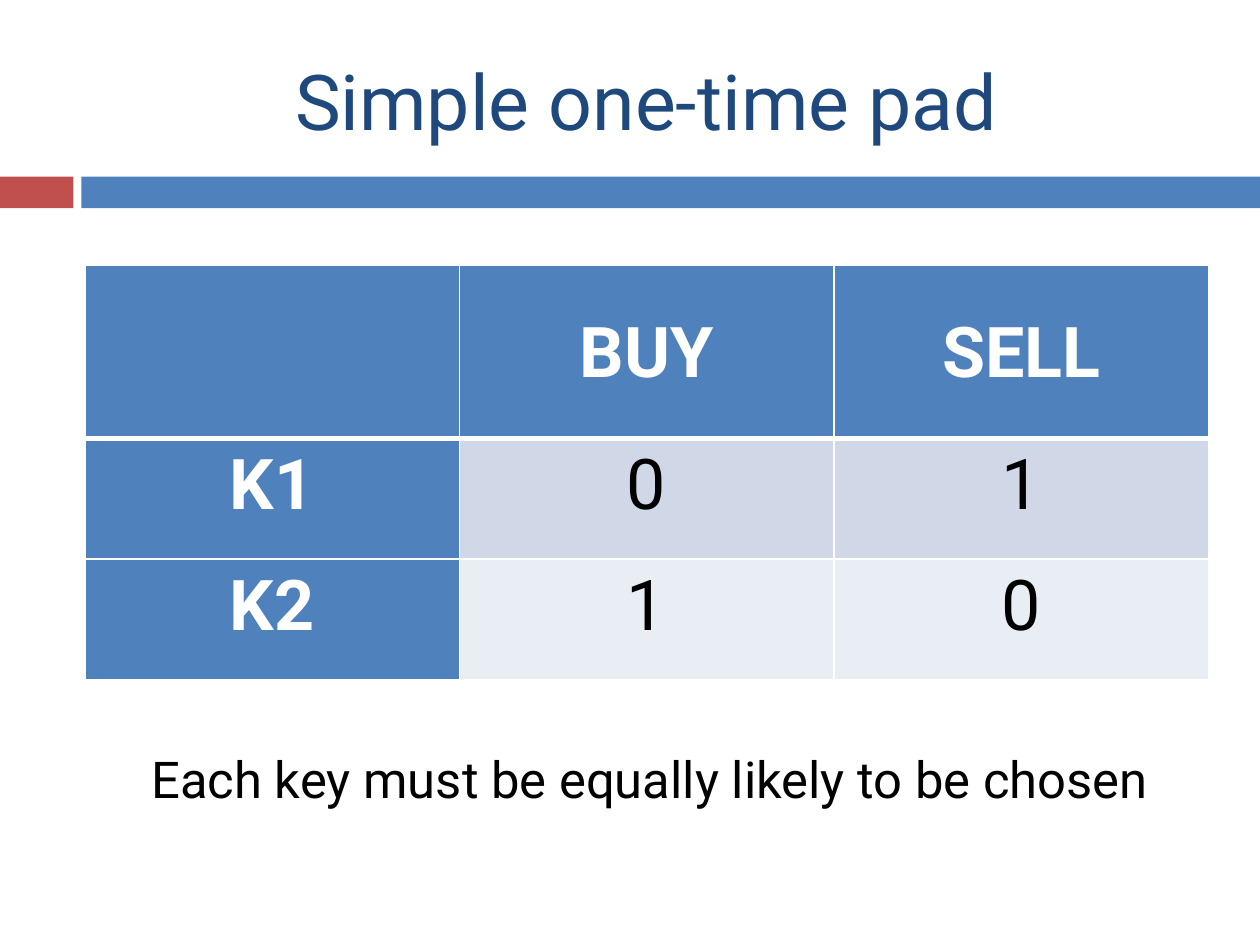
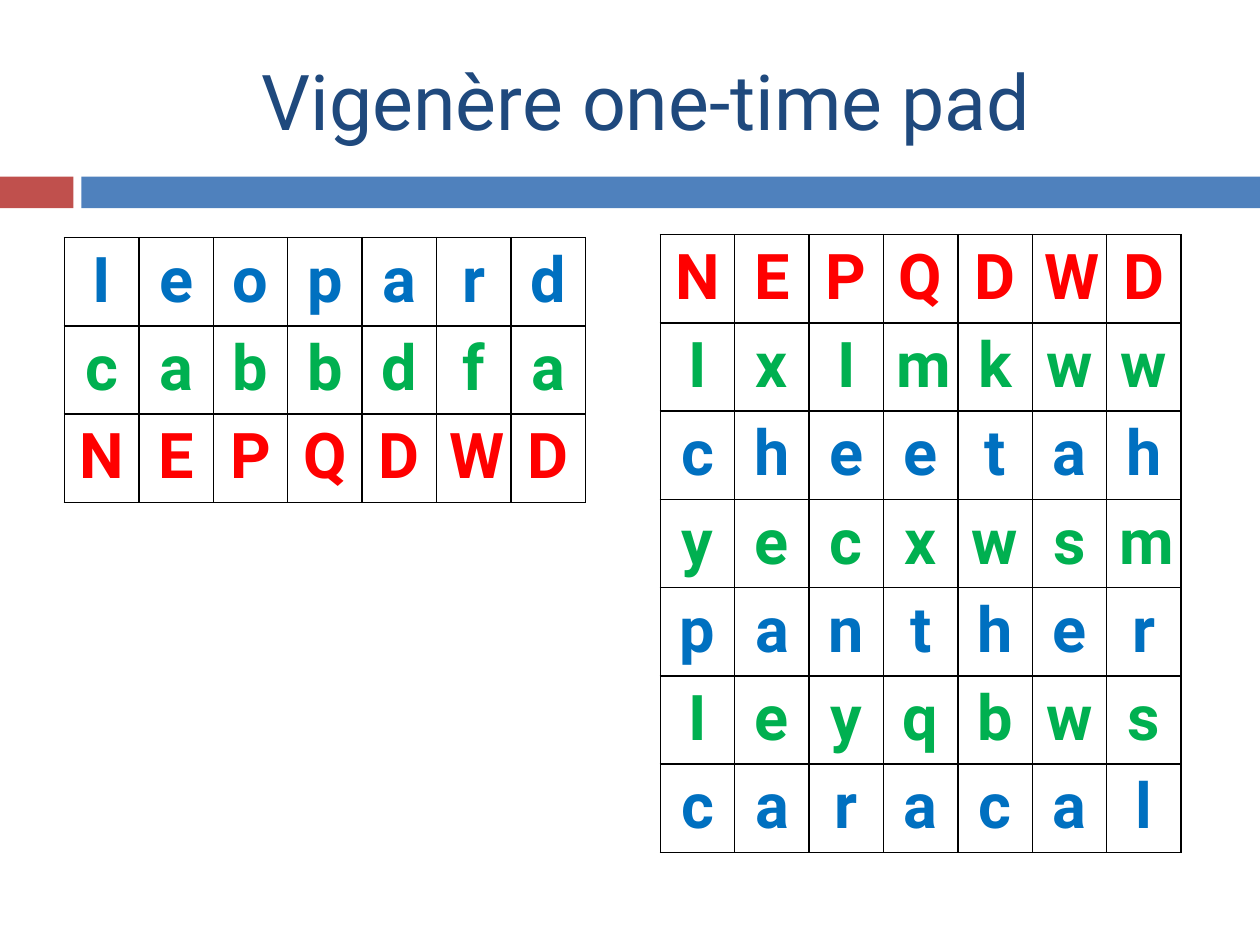
from lxml.etree import SubElement
from pptx import Presentation
from pptx.dml.color import RGBColor
from pptx.enum.shapes import MSO_SHAPE as SHAPE
from pptx.enum.text import MSO_ANCHOR as ANCHOR, PP_ALIGN as ALIGN
from pptx.oxml.ns import qn
from pptx.util import Cm, Pt

FONT = "Roboto"
NAVY = RGBColor(0x1F, 0x49, 0x7D)
BLUE = RGBColor(0x4F, 0x81, 0xBD)
BRICK = RGBColor(0xC0, 0x50, 0x4D)
WHITE = RGBColor(0xFF, 0xFF, 0xFF)
BLACK = RGBColor(0x00, 0x00, 0x00)
BAND_DARK = RGBColor(0xD0, 0xD8, 0xE8)
BAND_LIGHT = RGBColor(0xE9, 0xED, 0xF4)
PLAIN = RGBColor(0x00, 0x70, 0xC0)
KEY = RGBColor(0x00, 0xB0, 0x50)
CIPHER = RGBColor(0xFF, 0x00, 0x00)

# Content
PAD_TITLE = "Simple one-time pad"
PAD_ROWS = [
    ("", "BUY", "SELL"),
    ("K1", "0", "1"),
    ("K2", "1", "0"),
]
PAD_NOTE = "Each key must be equally likely to be chosen"

VIGENERE_TITLE = "Vigenère one-time pad"
ENCRYPTION = [("Ieopard", PLAIN), ("cabbdfa", KEY), ("NEPQDWD", CIPHER)]
DECRYPTIONS = [
    ("NEPQDWD", CIPHER),
    ("IxImkww", KEY),
    ("cheetah", PLAIN),
    ("yecxwsm", KEY),
    ("panther", PLAIN),
    ("Ieyqbws", KEY),
    ("caracal", PLAIN),
]

# Layout, in centimetres
SLIDE_W, SLIDE_H = 25.4, 19.05
BAND_TOP, BAND_H = 3.56, 0.64
BAND_SPLIT, BAND_GAP = 1.48, 0.16
CONTENT_LEFT, CONTENT_W = 1.71, 22.65
PAD_TOP = 5.34
PAD_ROW_HEIGHTS = [3.5, 2.43, 2.43]
LETTER_W, LETTER_H = 1.5, 1.74


def write(tf, text, size=36, color=BLACK, bold=False, spacing=None):
    p = tf.paragraphs[0]
    p.alignment = ALIGN.CENTER
    if spacing:
        p.line_spacing = spacing
    r = p.add_run()
    r.text = text
    r.font.name = FONT
    r.font.size = Pt(size)
    r.font.bold = bold
    r.font.color.rgb = color


def add_text(s, text, left, top, width, height, anchor=ANCHOR.TOP, **style):
    tf = s.shapes.add_textbox(Cm(left), Cm(top), Cm(width), Cm(height)).text_frame
    tf.word_wrap = True
    tf.vertical_anchor = anchor
    write(tf, text, **style)


def add_band(s, left, width, color):
    sp = s.shapes.add_shape(SHAPE.RECTANGLE, Cm(left), Cm(BAND_TOP), Cm(width), Cm(BAND_H))
    sp.shadow.inherit = False
    sp.fill.solid()
    sp.fill.fore_color.rgb = color
    sp.line.fill.background()


def add_titled_slide(prs, title):
    s = prs.slides.add_slide(prs.slide_layouts[6])
    blue_left = BAND_SPLIT + BAND_GAP
    add_band(s, 0, BAND_SPLIT, BRICK)
    add_band(s, blue_left, SLIDE_W - blue_left, BLUE)
    add_text(s, title, CONTENT_LEFT, 0.64, CONTENT_W, 2.75,
             anchor=ANCHOR.MIDDLE, size=44, color=NAVY)
    return s


def set_borders(cell, color, top=1, bottom=1):
    """Draw all four edges; widths in points. Must run before the cell is filled."""
    tc_pr = cell._tc.get_or_add_tcPr()
    for edge, width in (("L", 1), ("R", 1), ("T", top), ("B", bottom)):
        ln = SubElement(tc_pr, qn(f"a:ln{edge}"), w=str(Pt(width)))
        fill = SubElement(ln, qn("a:solidFill"))
        SubElement(fill, qn("a:srgbClr"), val=str(color))


def add_grid(s, left, top, col_w, row_heights, n_cols):
    """Add an undecorated table with equal columns."""
    frame = s.shapes.add_table(len(row_heights), n_cols, Cm(left), Cm(top),
                               Cm(col_w * n_cols), Cm(sum(row_heights)))
    table = frame.table
    table.first_row = table.horz_banding = False
    for col in table.columns:
        col.width = Cm(col_w)
    for row, height in zip(table.rows, row_heights):
        row.height = Cm(height)
    return table


def fill_cell(cell, text, fill, **style):
    cell.fill.solid()
    cell.fill.fore_color.rgb = fill
    if text:
        write(cell.text_frame, text, **style)


def add_pad_table(s):
    n_cols = len(PAD_ROWS[0])
    table = add_grid(s, CONTENT_LEFT, PAD_TOP, CONTENT_W / n_cols, PAD_ROW_HEIGHTS, n_cols)
    for i, row in enumerate(PAD_ROWS):
        for j, text in enumerate(row):
            cell = table.cell(i, j)
            heading = i == 0 or j == 0
            body_fill = BAND_DARK if i % 2 else BAND_LIGHT
            set_borders(cell, WHITE, top=3 if i == 1 else 1, bottom=3 if i == 0 else 1)
            fill_cell(cell, text, BLUE if heading else body_fill, size=40, bold=heading,
                      color=WHITE if heading else BLACK, spacing=1.5 if i == 0 else None)


def add_letter_table(s, words, left, top):
    table = add_grid(s, left, top, LETTER_W, [LETTER_H] * len(words), len(words[0][0]))
    for i, (word, color) in enumerate(words):
        for j, letter in enumerate(word):
            cell = table.cell(i, j)
            set_borders(cell, BLACK)
            fill_cell(cell, letter, WHITE, color=color, bold=True)


def main():
    prs = Presentation()
    prs.slide_width, prs.slide_height = Cm(SLIDE_W), Cm(SLIDE_H)

    s = add_titled_slide(prs, PAD_TITLE)
    add_pad_table(s)
    add_text(s, PAD_NOTE, 2.11, 14.94, 22, 1.5, size=29)

    s = add_titled_slide(prs, VIGENERE_TITLE)
    add_letter_table(s, ENCRYPTION, 1.3, 4.79)
    add_letter_table(s, DECRYPTIONS, 13.31, 4.73)

    prs.save("out.pptx")


if __name__ == "__main__":
    main()
